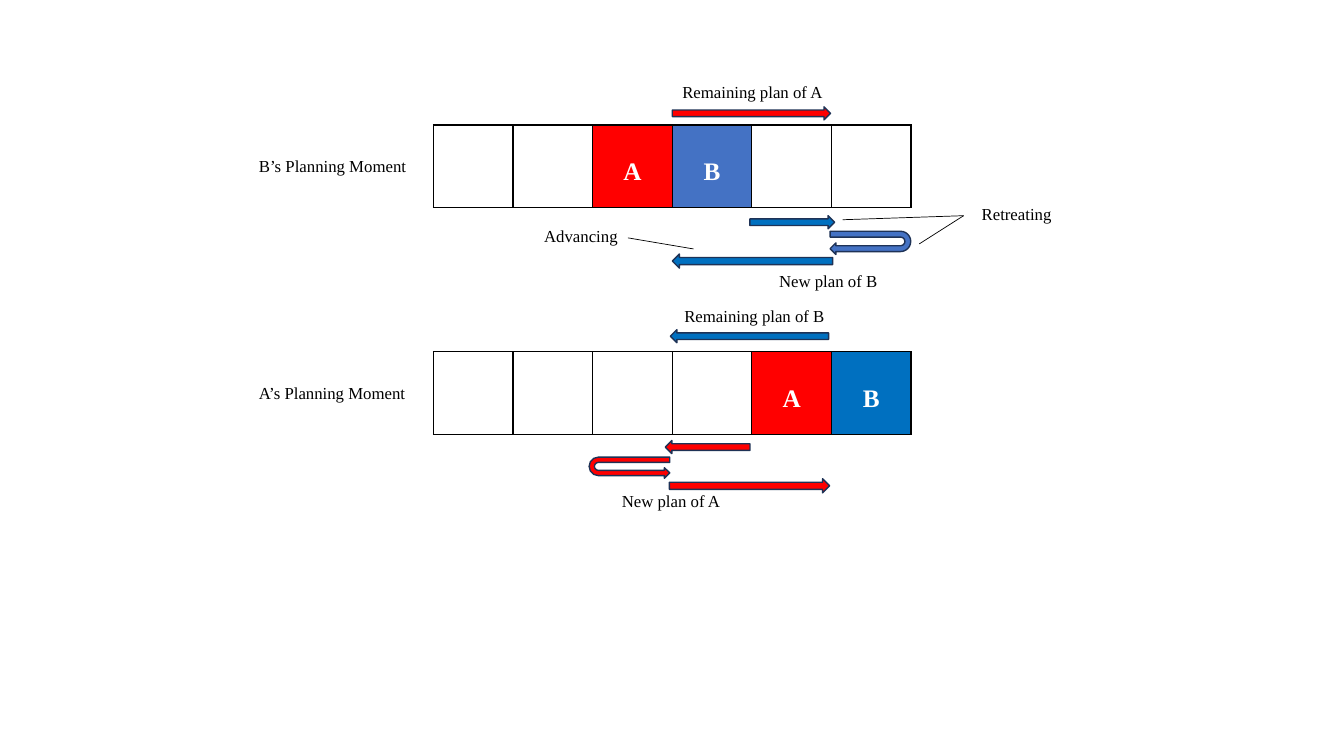
from dataclasses import dataclass

from lxml.etree import SubElement
from pptx import Presentation
from pptx.dml.color import RGBColor
from pptx.enum.shapes import MSO_CONNECTOR, MSO_SHAPE
from pptx.enum.text import MSO_AUTO_SIZE, PP_ALIGN
from pptx.oxml.ns import qn
from pptx.util import Pt


@dataclass(frozen=True)
class Theme:
    """Colours, font and sizes of the slide."""
    red: str = "FF0000"
    blue: str = "0070C0"
    soft_blue: str = "4472C4"
    outline: str = "1E3256"
    black: str = "000000"
    white: str = "FFFFFF"
    font: str = "Times New Roman"
    label_size: float = 12
    cell_size: float = 18
    border: float = 1
    thin: float = 0.5


T = Theme()
CELL_W, CELL_H, CELLS = 56.88, 59.04, 6
LABEL_H = 21.6


def add_run(p, text, size, color, bold=False):
    """Add one formatted run to a paragraph."""
    r = p.add_run()
    r.text = text
    r.font.name, r.font.size, r.font.bold = T.font, Pt(size), bold
    r.font.color.rgb = RGBColor.from_string(color)


def add_label(s, x, y, w, text):
    """Add a one-line text label."""
    tf = s.shapes.add_textbox(Pt(x), Pt(y), Pt(w), Pt(LABEL_H)).text_frame
    tf.word_wrap = False
    tf.auto_size = MSO_AUTO_SIZE.SHAPE_TO_FIT_TEXT
    add_run(tf.paragraphs[0], text, T.label_size, T.black)


def add_arrow(s, kind, x, y, w, h, color, rotation=0):
    """Add an outlined block arrow."""
    sp = s.shapes.add_shape(kind, Pt(x), Pt(y), Pt(w), Pt(h))
    sp.shadow.inherit = False
    sp.rotation = rotation
    sp.fill.solid()
    sp.fill.fore_color.rgb = RGBColor.from_string(color)
    sp.line.color.rgb = RGBColor.from_string(T.outline)
    sp.line.width = Pt(T.border)
    return sp


def add_uturn(s, x, y, w, h, color, rotation, flip):
    """Add a U-turn arrow, mirrored if flip is set."""
    sp = add_arrow(s, MSO_SHAPE.U_TURN_ARROW, x, y, w, h, color, rotation)
    for i, value in enumerate((0.25, 0.25, 0.25, 0.44, 1)):
        sp.adjustments[i] = value
    if flip:
        sp.element.spPr.find(qn("a:xfrm")).set("flipH", "1")


def add_leader(s, x1, y1, x2, y2):
    """Add a thin leader line."""
    line = s.shapes.add_connector(MSO_CONNECTOR.STRAIGHT, Pt(x1), Pt(y1), Pt(x2), Pt(y2))
    line.line.color.rgb = RGBColor.from_string(T.black)
    line.line.width = Pt(T.thin)
    SubElement(line.element.spPr, qn("a:effectLst"))


def set_borders(cell):
    """Draw all four borders of a cell, ahead of its fill."""
    tc_pr = cell._tc.get_or_add_tcPr()
    for i, side in enumerate(("lnL", "lnR", "lnT", "lnB")):
        ln = SubElement(tc_pr, qn(f"a:{side}"), w=str(Pt(T.border)))
        fill = SubElement(ln, qn("a:solidFill"))
        SubElement(fill, qn("a:srgbClr"), val=T.black)
        tc_pr.insert(i, ln)


def add_track(s, x, y, agents):
    """Add the row of cells; agents maps a column to its letter and colour."""
    table = s.shapes.add_table(1, CELLS, Pt(x), Pt(y), Pt(CELL_W * CELLS), Pt(CELL_H)).table
    table.first_row = table.horz_banding = False
    for col in range(CELLS):
        table.columns[col].width = Pt(CELL_W)
        cell = table.cell(0, col)
        text, color = agents.get(col, ("", T.white))
        cell.fill.solid()
        cell.fill.fore_color.rgb = RGBColor.from_string(color)
        set_borders(cell)
        if text:
            p = cell.text_frame.paragraphs[0]
            p.alignment, p.line_spacing = PP_ALIGN.CENTER, 2.0
            add_run(p, text, T.cell_size, T.white, bold=True)


def add_panel(s, x, y, planner, other, agents, arrows, uturn, remaining, new_plan):
    """Draw one planning moment around the track whose corner is (x, y)."""
    add_track(s, x, y, agents)
    add_label(s, x - 131.76, y + 18.72, 120.96, f"{planner}\u2019s Planning Moment")
    add_label(s, x + remaining[0], y + remaining[1], 115.92, f"Remaining plan of {other}")
    add_label(s, x + new_plan[0], y + new_plan[1], 85.68, f"New plan of {planner}")
    for dx, dy, w, h, color, rotation in arrows:
        add_arrow(s, MSO_SHAPE.RIGHT_ARROW, x + dx, y + dy, w, h, color, rotation)
    dx, dy, *style = uturn
    add_uturn(s, x + dx, y + dy, *style)


def add_callouts(s, x, y):
    """Name the retreating and advancing moves beside the track at (x, y)."""
    add_label(s, x + 384.48, y + 52.56, 65.52, "Retreating")
    add_label(s, x + 72, y + 68.4, 67.68, "Advancing")
    for x1, y1, x2, y2 in ((292.32, 67.68, 378.72, 64.8),
                           (347.04, 84.96, 378.72, 64.8),
                           (185.76, 88.56, 138.96, 80.64)):
        add_leader(s, x + x1, y + y1, x + x2, y + y2)


def build_slide(prs):
    """Place both planning moments on a blank slide."""
    s = prs.slides.add_slide(prs.slide_layouts[6])
    left, top_b, top_a = 309.6, 89.28, 251.28
    add_panel(
        s, left, top_b, "B", "A", {2: ("A", T.red), 3: ("B", T.soft_blue)},
        arrows=((170.64, -12.96, 113.04, 9.36, T.red, 0),
                (226.08, 64.8, 60.48, 9.36, T.blue, 0),
                (170.64, 92.16, 114.48, 10.08, T.blue, 180)),
        uturn=(303.84, 55.44, 16.56, 57.6, T.soft_blue, 90, False),
        remaining=(170.64, -34.56), new_plan=(239.76, 100.8))
    add_callouts(s, left, top_b)
    add_panel(
        s, left, top_a, "A", "B", {4: ("A", T.red), 5: ("B", T.blue)},
        arrows=((169.2, -15.84, 113.04, 9.36, T.blue, 180),
                (165.6, 63.36, 60.48, 9.36, T.red, 180),
                (168.48, 90.72, 114.48, 10.08, T.red, 0)),
        uturn=(132.48, 54, 15.12, 57.6, T.red, 270, True),
        remaining=(172.08, -36.72), new_plan=(127.44, 95.76))


prs = Presentation()
prs.slide_width, prs.slide_height = Pt(960), Pt(540)
build_slide(prs)
prs.save("out.pptx")
